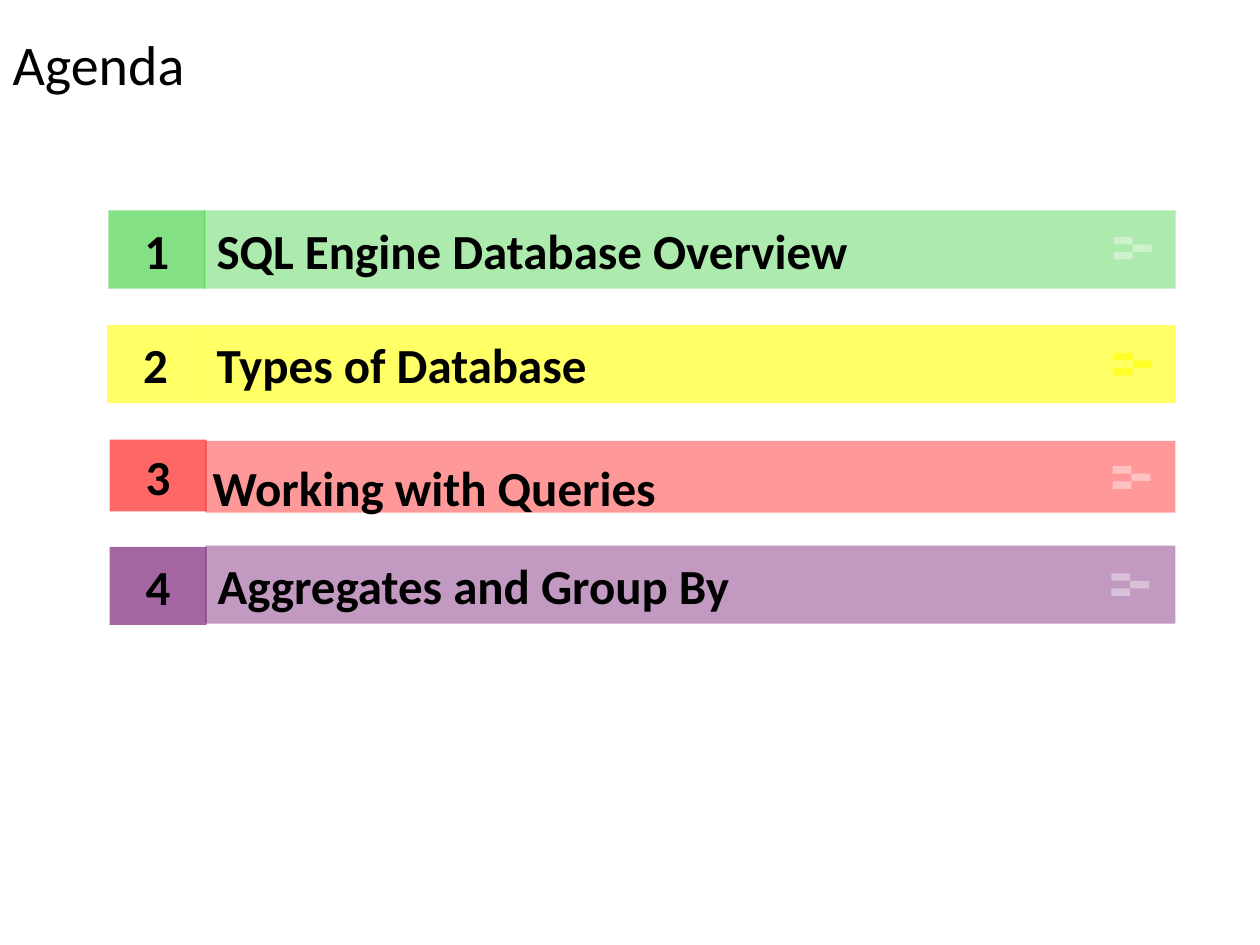
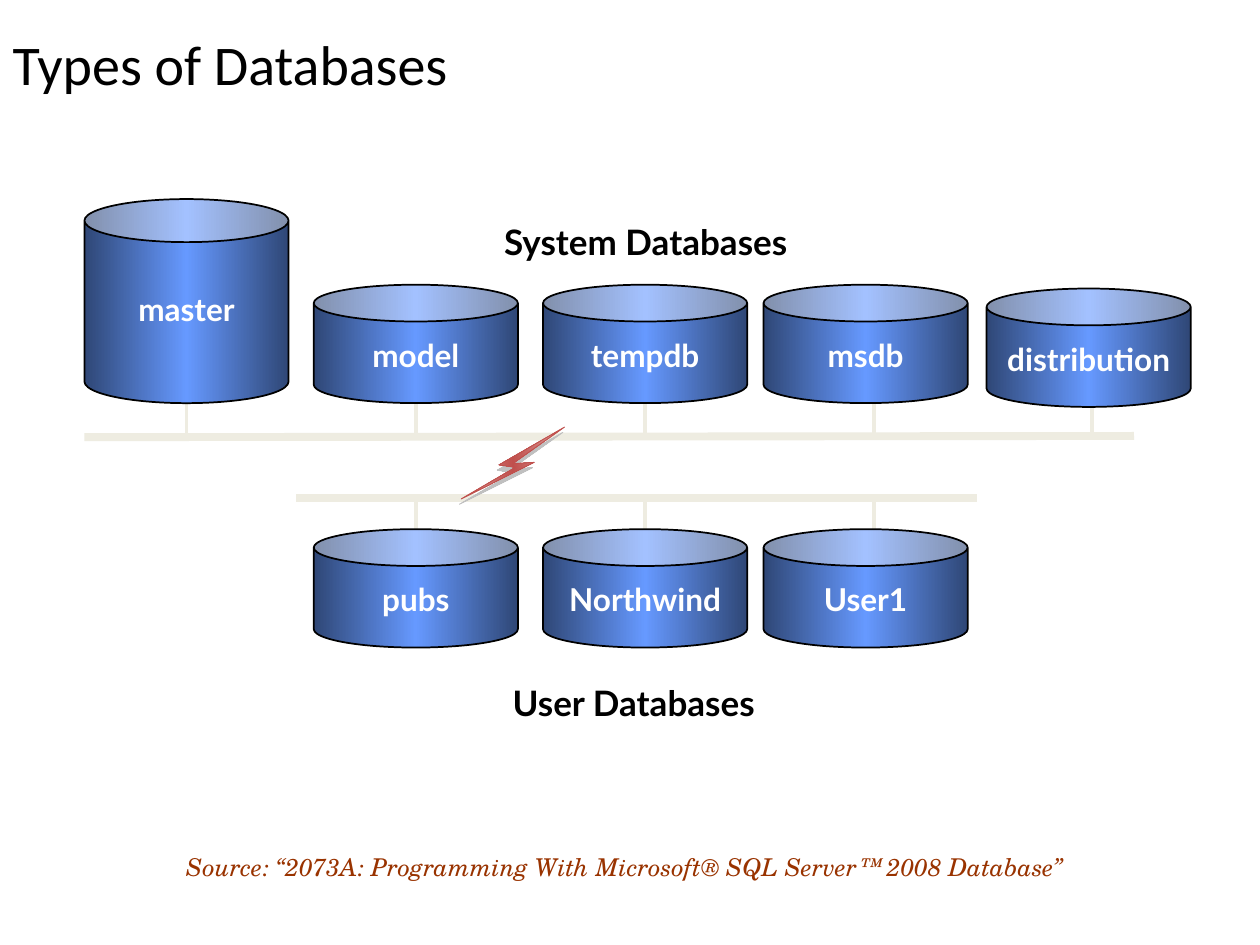
from copy import deepcopy
from pptx import Presentation
from pptx import util as u
from pptx.dml.color import RGBColor
from pptx.enum import shapes, text
from pptx.oxml import parse_xml
from pptx.oxml.ns import nsdecls, qn

BLACK, WHITE, RAIL = "000000", "FFFFFF", "EEECE1"
SHADOW = ('<a:effectLst %s><a:outerShdw dist="%d" dir="%d" algn="ctr" rotWithShape="0">'
          '<a:srgbClr val="%s"/></a:outerShdw></a:effectLst>')
LEFT, CENTER = text.PP_ALIGN.LEFT, text.PP_ALIGN.CENTER
TOP, MIDDLE = text.MSO_ANCHOR.TOP, text.MSO_ANCHOR.MIDDLE


def paint(fill, color):
    fill.solid()
    fill.fore_color.rgb = RGBColor.from_string(color)


def write(sp, words, color=BLACK, align=LEFT, anchor=TOP, spacing=1.0, **fmt):
    tf = sp.text_frame
    tf.word_wrap = True
    tf.vertical_anchor = anchor
    p = tf.paragraphs[0]
    p.alignment = align
    p.line_spacing = spacing
    r = p.add_run()
    r.text = words
    for key, value in fmt.items():
        setattr(r.font, key, value)
    paint(r.font.fill, color)
    return r


prs = Presentation()
prs.slide_width, prs.slide_height = u.Inches(10), u.Inches(7.5)
slides = []
for title in ("Agenda", "Types of Databases"):
    s = prs.slides.add_slide(prs.slide_layouts[5])
    sp = s.shapes.title
    sp.left, sp.top, sp.width, sp.height = [u.Inches(v) for v in (0, 0, 8.27, 1)]
    write(sp, title, anchor=MIDDLE, size=u.Pt(32), name="Calibri")
    slides.append(s)
agenda, types = slides

heading = dict(size=u.Pt(28), name="Calibri", bold=True)
rows = [
    ("SQL Engine Database Overview", "33CC33", 40, WHITE, 40, 0.86, 1.67, 1.62, 1.67, 0.62, 8.84, 1.88),
    ("Types of Database", "FFFF00", 60, "FFFF00", 60, 0.85, 2.58, 1.62, 2.58, 0.62, 8.84, 2.8),
    ("Working with Queries", "FF0000", 40, WHITE, 40, 0.87, 3.49, 1.63, 3.5, 0.57, 8.83, 3.7),
    ("Aggregates and Group By", "660066", 40, WHITE, 40, 0.87, 4.34, 1.63, 4.33, 0.62, 8.82, 4.55),
]
for number, row in enumerate(rows, 1):
    topic, color, bar_alpha, mark, mark_alpha, num_x, num_y, bar_x, bar_y, h, mark_x, mark_y = row
    boxes = [
        (num_x, num_y, 0.77, h, color, 60, str(number), CENTER),
        (bar_x, bar_y, 9.33 - bar_x, h, color, bar_alpha, "" if number == 3 else topic, LEFT),
    ]
    for i in range(3):
        boxes.append((mark_x + 0.15 * (i % 2), mark_y + 0.06 * i, 0.15, 0.06, mark, mark_alpha, "", LEFT))
    for x, y, w, height, fill, alpha, words, align in boxes:
        sp = agenda.shapes.add_shape(shapes.MSO_SHAPE.RECTANGLE, *[u.Inches(v) for v in (x, y, w, height)])
        sp.shadow.inherit = False
        paint(sp.fill, fill)
        clr = sp._element.spPr.find(".//" + qn("a:srgbClr"))
        clr.append(parse_xml('<a:alpha %s val="%d"/>' % (nsdecls("a"), alpha * 1000)))
        sp.line.fill.background()
        if words:
            write(sp, words, align=align, anchor=MIDDLE, **heading)
    if number == 3:
        sp = agenda.shapes.add_textbox(*[u.Inches(v) for v in (1.59, 3.58, 4.44, 0.57)])
        write(sp, topic, **heading)

stubs = [(x, 3.2, x, 3.47, 2.25) for x in (1.48, 3.3, 5.12, 6.94, 8.67)]
stubs += [(x, 3.95, x, 4.22, 2.25) for x in (3.3, 5.12, 6.94)]
rails = [(0.67, 3.47, 9, 3.46, 4.5), (2.35, 3.95, 7.75, 3.95, 4.5)]
for x1, y1, x2, y2, width in stubs + rails:
    c = types.shapes.add_connector(shapes.MSO_CONNECTOR.STRAIGHT, *[u.Inches(v) for v in (x1, y1, x2, y2)])
    paint(c.line.fill, RAIL)
    c.line.width = u.Pt(width)
    c._element.spPr.append(parse_xml("<a:effectLst %s/>" % nsdecls("a")))

cans = [
    ("master", 0.67, 1.58, 1.62, 0.211, 0.73, 0.34, 0.8),
    ("distribution", 7.83, 2.29, 0.94, 0.311, 0.39, 0.37, 0.9),
]
for names, top in ((("model", "tempdb", "msdb"), 2.26), (("pubs", "Northwind", "User1"), 4.2)):
    for name, x in zip(names, (2.49, 4.31, 6.06)):
        cans.append((name, x, top, 0.94, 0.311, 0.39, 0.37, 0.9))

gradients = []
for name, x, y, h, adj, drop, label_h, spacing in cans:
    sp = types.shapes.add_shape(shapes.MSO_SHAPE.CAN, *[u.Inches(v) for v in (x, y, 1.62, h)])
    sp.adjustments[0] = adj
    sp.shadow.inherit = False
    gradients.append((sp, "2F4776", "6699FF", BLACK, 1))
    tb = types.shapes.add_textbox(*[u.Inches(v) for v in (x, y + drop, 1.62, label_h)])
    r = write(tb, name, WHITE, CENTER, MIDDLE, spacing, size=u.Pt(18), name="Lato", bold=True)
    fill = r.font._element.find(qn("a:solidFill"))
    fill.addnext(parse_xml(SHADOW % (nsdecls("a"), 25400, 2700000, BLACK)))

points = [(4.48, 3.39), (3.96, 3.69), (4.09, 3.71), (3.66, 3.96), (4.24, 3.67), (4.07, 3.68)]
fb = types.shapes.build_freeform(*[u.Inches(v) for v in points[0]])
fb.add_line_segments([(u.Inches(x), u.Inches(y)) for x, y in points[1:]], close=True)
bolt = fb.convert_to_shape()
gradients.append((bolt, "DDA19F", "C0504D", "C0504D", 0.5))

for sp, edge, mid, line, width in gradients:
    sp.fill.gradient()
    sp.fill.gradient_angle = 0
    for stop in sp.fill.gradient_stops:
        stop.color.rgb = RGBColor.from_string(edge)
    first, last = sp._element.spPr.findall(".//" + qn("a:gs"))
    first.set("pos", "0")
    last.set("pos", "100000")
    center = deepcopy(first)
    center.set("pos", "50000")
    center[0].set("val", mid)
    first.addnext(center)
    paint(sp.line.fill, line)
    sp.line.width = u.Pt(width)
bolt._element.spPr.append(parse_xml(SHADOW % (nsdecls("a"), 40640, 6480000, "C0C0C0")))

label = dict(size=u.Pt(20), name="Lato", bold=True)
for words, x, y, w in (("System Databases", 3.76, 1.7, 2.73), ("User Databases", 3.85, 5.36, 2.36)):
    sp = types.shapes.add_textbox(*[u.Inches(v) for v in (x, y, w, 0.44)])
    write(sp, words, align=CENTER, **label)

sp = types.shapes.add_textbox(*[u.Inches(v) for v in (1.38, 6.71, 7.4, 0.34)])
write(sp, "Source: “2073A: Programming With Microsoft® SQL Server™ 2008 Database”", "993300",
      size=u.Pt(14), name="TeX Gyre Schola", italic=True)

prs.save("out.pptx")
